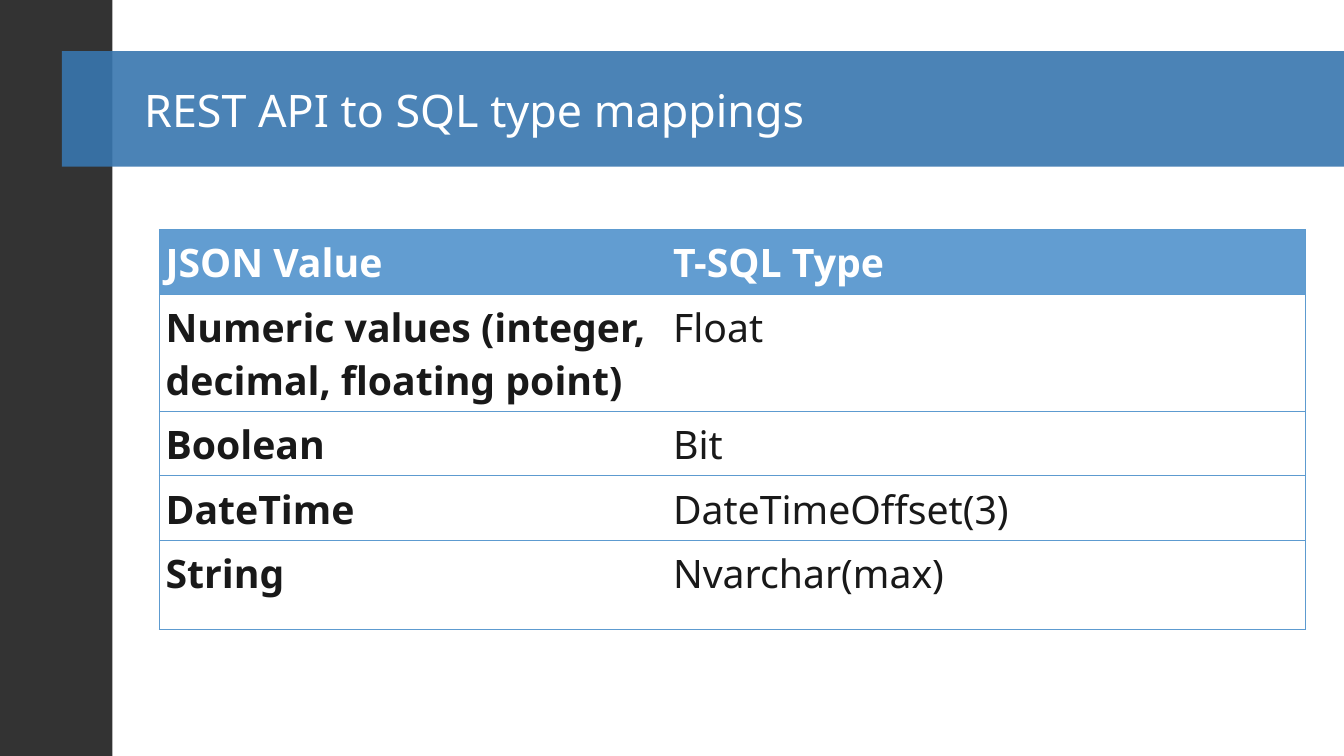
from dataclasses import dataclass

from lxml.etree import SubElement
from pptx import Presentation
from pptx.dml.color import RGBColor
from pptx.enum.shapes import MSO_SHAPE as Shape
from pptx.enum.text import MSO_ANCHOR as Anchor
from pptx.oxml import parse_xml
from pptx.oxml.ns import nsdecls, qn
from pptx.util import Pt


@dataclass(frozen=True)
class Theme:
    """Colours, font and type sizes of the slide."""
    sidebar: str = "333333"
    band: str = "3876AF"
    header: str = "629DD1"
    border: str = "5D9BD0"
    light: str = "FFFFFF"
    dark: str = "191919"
    font: str = "Noto Sans"
    title_size: int = 32
    table_size: int = 28


theme = Theme()


def format_text(text_frame, size, color, bold=False):
    """Set font, size, colour and weight of every run."""
    for paragraph in text_frame.paragraphs:
        for run in paragraph.runs:
            run.font.name = theme.font
            run.font.size = Pt(size)
            run.font.bold = bold
            run.font.color.rgb = RGBColor.from_string(color)


def set_borders(cell, visible_sides):
    """Draw the given sides of a cell and hide the others."""
    properties = cell._tc.get_or_add_tcPr()
    for position, side in enumerate("LRTB"):
        if side in visible_sides:
            fill = f'<a:solidFill><a:srgbClr val="{theme.border}"/></a:solidFill>'
        else:
            fill = "<a:noFill/>"
        line = parse_xml(f'<a:ln{side} {nsdecls("a")} w="{Pt(0.75)}">{fill}</a:ln{side}>')
        properties.insert(position, line)


presentation = Presentation()
presentation.slide_width = Pt(960)
presentation.slide_height = Pt(540)
slide = presentation.slides.add_slide(presentation.slide_layouts[6])

# Sidebar and translucent title band
for left, top, width, height, color in (
    (0, 0, 80.4, 540, theme.sidebar),
    (44.2, 36.5, 915.8, 82.5, theme.band),
):
    shape = slide.shapes.add_shape(Shape.RECTANGLE, Pt(left), Pt(top), Pt(width), Pt(height))
    shape.shadow.inherit = False
    shape.fill.solid()
    shape.fill.fore_color.rgb = RGBColor.from_string(color)
    shape.line.fill.background()
band_color = shape.fill._xPr.find(qn("a:solidFill"))[0]
SubElement(band_color, qn("a:alpha"), val="90000")

# Title
title = slide.shapes.add_textbox(Pt(48), Pt(36.5), Pt(864), Pt(83.5))
title_frame = title.text_frame
title_frame.word_wrap = True
title_frame.vertical_anchor = Anchor.MIDDLE
title_frame.margin_left = Pt(55)
title_frame.text = "REST API to SQL type mappings"
format_text(title_frame, theme.title_size, theme.light)

# Type mapping table
mappings = (
    ("JSON Value", "T-SQL Type"),
    ("Numeric values (integer, decimal, floating point)", "Float"),
    ("Boolean", "Bit"),
    ("DateTime", "DateTimeOffset(3)"),
    ("String", "Nvarchar(max)"),
)
column_widths = (362.5, 456)
row_heights = (46, 84, 46, 46, 63.5)
table = slide.shapes.add_table(
    len(mappings), len(column_widths), Pt(113.8), Pt(164),
    Pt(sum(column_widths)), Pt(sum(row_heights)),
).table
table.horz_banding = False
for column, width in zip(table.columns, column_widths):
    column.width = Pt(width)
for row_index, (row, mapping) in enumerate(zip(table.rows, mappings)):
    row.height = Pt(row_heights[row_index])
    is_header = row_index == 0
    for column_index, (cell, text) in enumerate(zip(row.cells, mapping)):
        cell.margin_left = cell.margin_right = Pt(4.5)
        cell.margin_top = cell.margin_bottom = Pt(4.5)
        cell.text_frame.text = text
        if is_header:
            cell.fill.solid()
            cell.fill.fore_color.rgb = RGBColor.from_string(theme.header)
        else:
            cell.fill.background()
        format_text(
            cell.text_frame, theme.table_size,
            theme.light if is_header else theme.dark,
            bold=is_header or column_index == 0,
        )
        set_borders(cell, "TB" + "LR"[column_index])

presentation.save("out.pptx")
